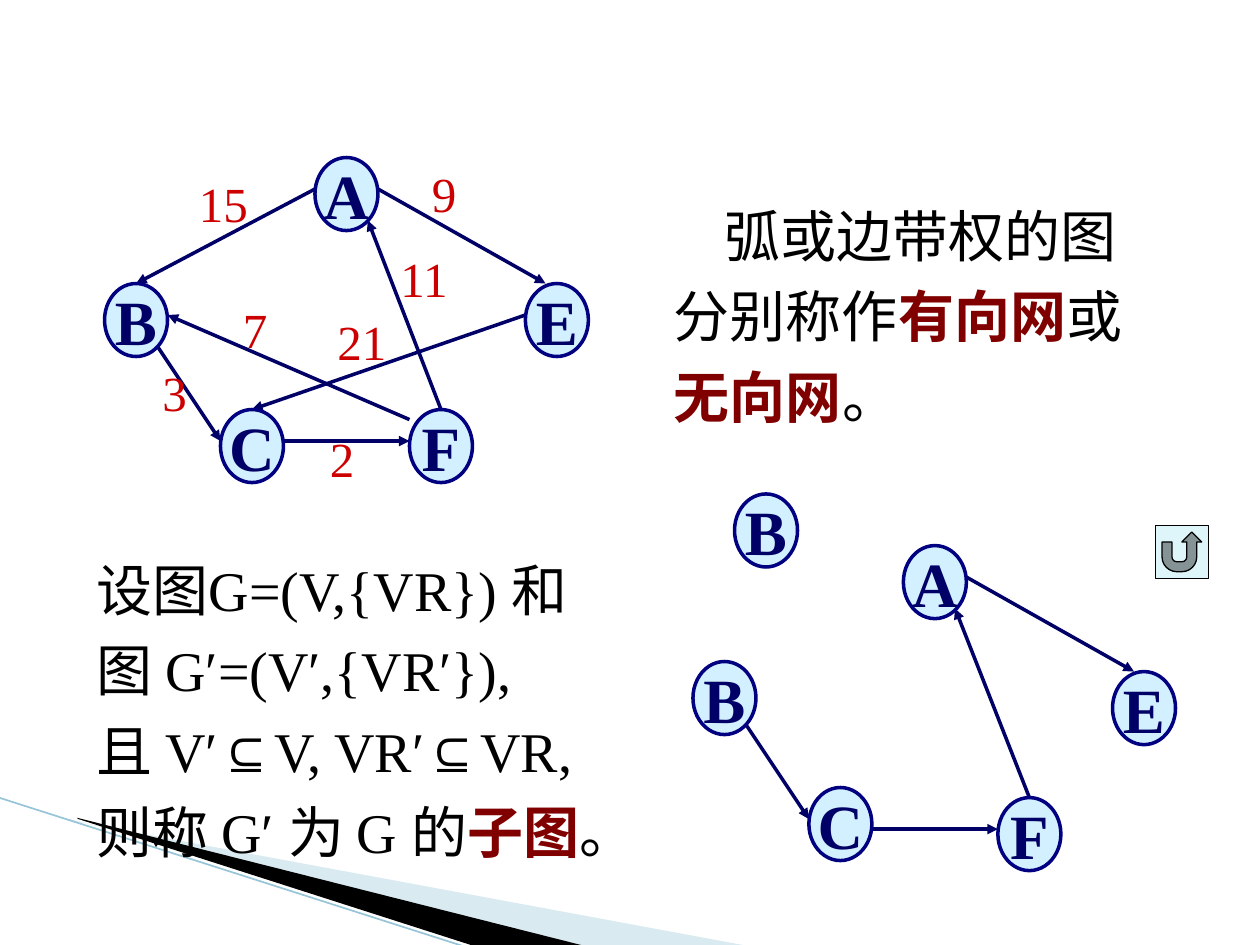
import lxml.etree
import pptx
import pptx.dml.color
import pptx.enum.shapes
import pptx.enum.text
import pptx.oxml.ns
import pptx.util

Inches = pptx.util.Inches
Pt = pptx.util.Pt
RGB = pptx.dml.color.RGBColor
Shape = pptx.enum.shapes.MSO_SHAPE
Align = pptx.enum.text.PP_ALIGN
Anchor = pptx.enum.text.MSO_ANCHOR
Auto = pptx.enum.text.MSO_AUTO_SIZE
qn = pptx.oxml.ns.qn

BLACK = RGB(0x00, 0x00, 0x00)
INK = RGB(0x00, 0x00, 0x66)
NAVY = RGB(0x00, 0x00, 0x80)
SKY = RGB(0xA7, 0xE2, 0xFF)
RED = RGB(0xCC, 0x00, 0x00)
MAROON = RGB(0x80, 0x00, 0x00)
BAND = RGB(0xA0, 0xCB, 0xDC)
EDGE = RGB(0x97, 0xC5, 0xD8)
ICE = RGB(0xDE, 0xF5, 0xFA)

NODE = {"size": Pt(36), "bold": True, "color": INK}
WEIGHT = {"size": Pt(28), "color": RED}
BODY = {"size": Pt(32), "bold": False, "color": BLACK}
TERM = {"size": Pt(32), "bold": True, "color": MAROON}


class Page:
    font = "Times New Roman"
    node_w, node_h = 0.5, 0.58

    def __init__(self, slide):
        self.slide = slide
        self.shapes = slide.shapes

    def add_run(self, para, text, style):
        run = para.add_run()
        run.text = text
        run.font.name = self.font
        for key, value in style.items():
            if key == "color":
                run.font.color.rgb = value
            else:
                setattr(run.font, key, value)

    def paint(self, shape, fill, line=None, width=1, alpha=None):
        shape.shadow.inherit = False
        shape.fill.solid()
        shape.fill.fore_color.rgb = fill
        if alpha:
            tint = shape._element.spPr.find(qn("a:solidFill"))[0]
            lxml.etree.SubElement(tint, qn("a:alpha"), val=str(alpha * 1000))
        if line is None:
            shape.line.fill.background()
        else:
            shape.line.color.rgb = line
            shape.line.width = Pt(width)

    def wedge(self, points, fill, alpha=None):
        dots = [(Inches(x), Inches(y)) for x, y in points]
        pen = self.shapes.build_freeform(*dots[0])
        pen.add_line_segments(dots[1:], close=True)
        self.paint(pen.convert_to_shape(), fill, alpha=alpha)

    def line(self, x1, y1, x2, y2, color=INK, width=2, arrow=True):
        link = self.shapes.add_connector(
            pptx.enum.shapes.MSO_CONNECTOR.STRAIGHT,
            Inches(x1), Inches(y1), Inches(x2), Inches(y2))
        link.line.color.rgb = color
        link.line.width = Pt(width)
        if arrow:
            lxml.etree.SubElement(link._element.spPr.find(qn("a:ln")),
                                  qn("a:tailEnd"), type="triangle")
        lxml.etree.SubElement(link._element.spPr, qn("a:effectLst"))

    def node(self, name, x, y):
        oval = self.shapes.add_shape(Shape.OVAL, Inches(x), Inches(y),
                                     Inches(self.node_w), Inches(self.node_h))
        self.paint(oval, SKY, NAVY, 2, alpha=50)
        frame = oval.text_frame
        frame.word_wrap = False
        frame.vertical_anchor = Anchor.MIDDLE
        para = frame.paragraphs[0]
        para.alignment = Align.CENTER
        self.add_run(para, name, NODE)

    def text(self, x, y, w, h, paras, wrap=True, spacing=None, **extra):
        box = self.shapes.add_textbox(Inches(x), Inches(y), Inches(w), Inches(h))
        frame = box.text_frame
        form = {"word_wrap": wrap, "auto_size": Auto.SHAPE_TO_FIT_TEXT, **extra}
        for key, value in form.items():
            setattr(frame, key, value)
        for i, runs in enumerate(paras):
            para = frame.add_paragraph() if i else frame.paragraphs[0]
            if spacing:
                para.line_spacing = spacing
            for words, style in runs:
                self.add_run(para, words, style)
        return frame

    def button(self, x, y, side):
        shape = self.shapes.add_shape(Shape.ACTION_BUTTON_RETURN, Inches(x),
                                      Inches(y), Inches(side), Inches(side))
        self.paint(shape, ICE, BLACK, 0.75)


def main():
    deck = pptx.Presentation()
    deck.slide_width, deck.slide_height = Inches(10), Inches(7.5)
    page = Page(deck.slides.add_slide(deck.slide_layouts[6]))

    # Corner decoration
    page.wedge([(0.55, 6.51), (5.95, 7.51), (4.56, 7.51), (0.55, 6.5)], BAND, 40)
    page.wedge([(0.61, 6.49), (4.65, 7.51), (3.8, 7.52), (0.62, 6.5)], BLACK)
    page.line(-0.01, 6.33, 3.71, 7.52, EDGE, 0.95, arrow=False)

    # Both graphs: arcs first, nodes on top
    net = (
        [(2.5, 1.5, 1.08, 2.25), (1.25, 2.75, 1.75, 3.5), (2.25, 3.5, 3.25, 3.5),
         (3.5, 3.25, 2.92, 1.75), (3, 1.5, 4.33, 2.25), (3.25, 3.33, 1.33, 2.5),
         (4.17, 2.5, 2, 3.25)],
        [("A", 2.5, 1.25), ("B", 0.83, 2.25), ("E", 4.17, 2.25),
         ("C", 1.75, 3.25), ("F", 3.25, 3.25)])
    subs = (
        [(6.92, 6.58, 7.92, 6.58), (8.17, 6.33, 7.58, 4.83),
         (7.67, 4.58, 9, 5.33), (5.92, 5.75, 6.42, 6.5)],
        [("A", 7.17, 4.33), ("E", 8.83, 5.33), ("F", 7.92, 6.33),
         ("B", 5.83, 3.92), ("B", 5.5, 5.25), ("C", 6.42, 6.25)])
    for arcs, nodes in (net, subs):
        for arc in arcs:
            page.line(*arc)
        for node in nodes:
            page.node(*node)

    # Subgraph definition
    page.text(0.67, 4.25, 4.33, 2.66, [
        [("设图G=(V,{VR}) 和图 G′=(V′,{VR′}),", BODY)],
        [("且 V′⊆V, VR′⊆VR,", BODY)],
        [("则称 G′ 为 G 的", BODY), ("子图", TERM), ("。", BODY)],
    ], spacing=1.2)

    # Arc weights
    for label, x, y in [("15", 1.48, 1.33), ("9", 3.33, 1.25), ("7", 1.83, 2.33),
                        ("21", 2.58, 2.42), ("11", 3.08, 1.92), ("3", 1.19, 2.83),
                        ("2", 2.52, 3.35)]:
        page.text(x, y, 0.2 + 0.2 * len(label), 0.57, [[(label, WEIGHT)]], wrap=False)

    # Network definition, with a first-line indent
    frame = page.text(5.25, 1.32, 4, 2.18, [
        [("弧或边带权的图分别称作", BODY), ("有向网", TERM), ("或", BODY),
         ("无向网", TERM), ("。", BODY)],
    ], spacing=1.2, margin_top=Inches(0.17))
    frame.paragraphs[0]._p.get_or_add_pPr().set("indent", str(Inches(0.4)))

    # Return button
    page.button(9.17, 4.17, 0.42)

    deck.save("out.pptx")


if __name__ == "__main__":
    main()
